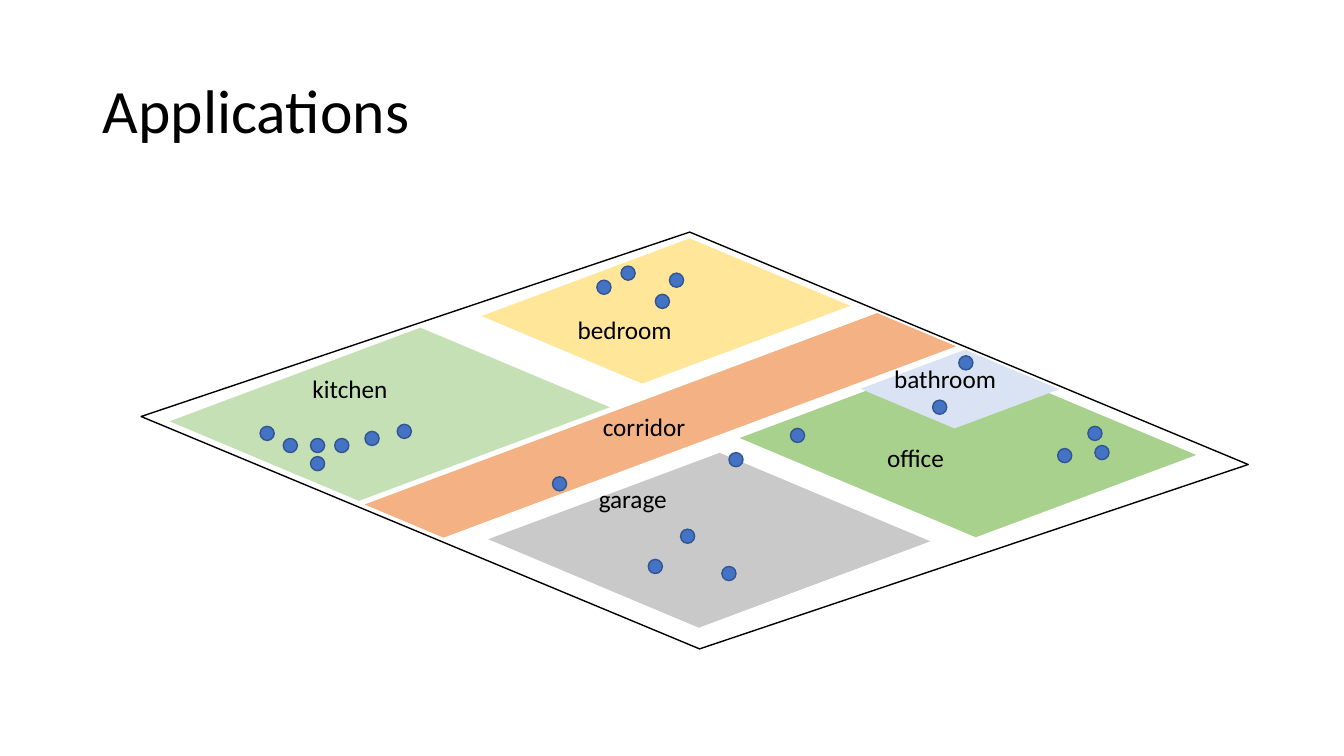
from pptx import Presentation
from pptx.dml.color import RGBColor
from pptx.enum.shapes import MSO_SHAPE as Preset
from pptx.enum.text import MSO_ANCHOR, MSO_AUTO_SIZE, PP_ALIGN
from pptx.util import Inches, Pt

BLACK = RGBColor(0x00, 0x00, 0x00)
DOT_FILL = RGBColor(0x44, 0x72, 0xC4)
DOT_LINE = RGBColor(0x32, 0x54, 0x91)
OFFICE_GREEN = RGBColor(0xA9, 0xD1, 0x8E)
GARAGE_GREY = RGBColor(0xC9, 0xC9, 0xC9)
BEDROOM_YELLOW = RGBColor(0xFF, 0xE6, 0x99)
KITCHEN_GREEN = RGBColor(0xC5, 0xE0, 0xB4)
CORRIDOR_ORANGE = RGBColor(0xF4, 0xB1, 0x83)
BATHROOM_BLUE = RGBColor(0xDA, 0xE3, 0xF3)

FONT = "Calibri"
TITLE = "Applications"
HOUSE = (1.73, 2.48, 10.32, 3.78)
DOT_SIZE = 0.14
LABEL_HEIGHT = 0.53

# name, floor box, colour, label box (left, top, width), dots (left, top)
ROOMS = [
    ("office", (7.48, 3.63, 4.24, 1.6), OFFICE_GREEN, (8.7, 4.34, 1.58),
     [(10.79, 4.23), (10.86, 4.42), (7.84, 4.25), (10.49, 4.45)]),
    ("garage", (5.01, 4.52, 4.05, 1.68), GARAGE_GREY, (5.84, 4.75, 1.58),
     [(7.16, 5.62), (6.75, 5.25), (7.23, 4.49), (6.43, 5.55)]),
    ("bedroom", (4.94, 2.33, 3.33, 1.51), BEDROOM_YELLOW, (5.63, 3.07, 1.58),
     [(6.16, 2.64), (6.64, 2.71), (5.92, 2.78), (6.5, 2.92)]),
    ("kitchen", (1.88, 3.2, 3.97, 1.82), KITCHEN_GREEN, (3, 3.65, 1.58),
     [(3.94, 4.21), (3.08, 4.35), (3.62, 4.28), (3.32, 4.35),
      (3.08, 4.53), (2.81, 4.35), (2.58, 4.23)]),
    ("corridor", (4.15, 2.36, 4.8, 3.72), CORRIDOR_ORANGE, (5.88, 4.03, 1.58),
     [(5.48, 4.73)]),
    ("bathroom", (8.61, 3.48, 1.82, 0.76), BATHROOM_BLUE, (8.77, 3.56, 1.68),
     [(9.51, 3.53), (9.25, 3.97)]),
]


def add_figure(plan, preset, box, fill=None, line=None):
    shape = plan.shapes.add_shape(preset, *map(Inches, box))
    shape.shadow.inherit = False
    if fill is None:
        shape.fill.background()
    else:
        shape.fill.solid()
        shape.fill.fore_color.rgb = fill
    if line is None:
        shape.line.fill.background()
    else:
        shape.line.color.rgb = line
        shape.line.width = Pt(1)
    return shape


def add_floor(plan, box, slant, rotation, fill=None, line=None):
    floor = add_figure(plan, Preset.PARALLELOGRAM, box, fill, line)
    floor.adjustments[0] = slant
    floor.rotation = rotation


def write(paragraph, text, size):
    run = paragraph.add_run()
    run.text = text
    run.font.name = FONT
    run.font.size = Pt(size)
    run.font.color.rgb = BLACK


def add_title(slide):
    title = slide.shapes.title
    title.left, title.top = Inches(0.92), Inches(0.4)
    title.width, title.height = Inches(11.5), Inches(1.45)
    title.text_frame.vertical_anchor = MSO_ANCHOR.MIDDLE
    heading = title.text_frame.paragraphs[0]
    heading.alignment = PP_ALIGN.LEFT
    heading.line_spacing = 0.9
    write(heading, TITLE, 44)


def add_label(plan, name, place):
    label = plan.shapes.add_textbox(*map(Inches, (*place, LABEL_HEIGHT)))
    label.text_frame.word_wrap = True
    label.text_frame.auto_size = MSO_AUTO_SIZE.SHAPE_TO_FIT_TEXT
    write(label.text_frame.paragraphs[0], name, 18)


def main():
    """Build the slide with a floor plan of rooms and the dots in them."""
    deck = Presentation()
    deck.slide_width, deck.slide_height = Inches(13.33), Inches(7.5)
    slide = deck.slides.add_slide(deck.slide_layouts[5])
    add_title(slide)

    plan = slide.shapes.add_group_shape()
    for _, floor, colour, _, _ in ROOMS:
        add_floor(plan, floor, 1.062, 22.8, fill=colour)
    add_floor(plan, HOUSE, 1.143, 22.6, line=BLACK)
    for name, _, _, label_place, dots in ROOMS:
        for dot in dots:
            add_figure(plan, Preset.OVAL, (*dot, DOT_SIZE, DOT_SIZE), DOT_FILL, DOT_LINE)
        add_label(plan, name, label_place)

    deck.save("out.pptx")


if __name__ == "__main__":
    main()
